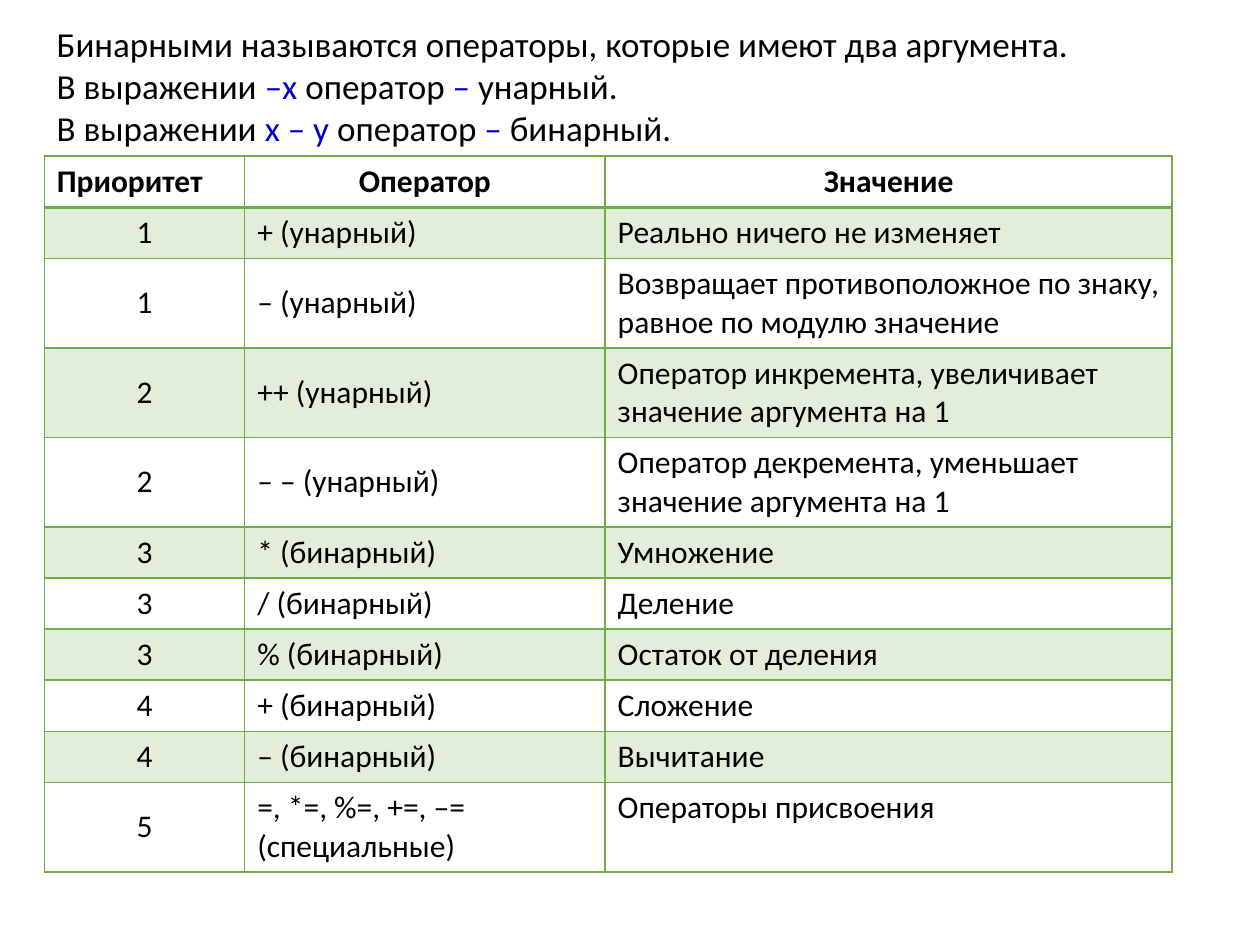
"""Build a slide that explains operator priority."""
from dataclasses import dataclass

from lxml.etree import SubElement
from pptx import Presentation
from pptx.dml.color import RGBColor
from pptx.enum.text import MSO_ANCHOR, MSO_AUTO_SIZE, PP_ALIGN
from pptx.oxml import parse_xml
from pptx.oxml.ns import nsdecls, qn
from pptx.util import Pt

BLACK, BLUE, GREEN = "000000", "0000CC", "70AD47"
LEFT, TOP = 25.3, 89.2
WIDTHS = (114.5, 206, 324)
ROW_H = 29.2


@dataclass
class Row:
    """One table row."""
    rank: str
    sign: str
    sense: str


@dataclass
class Bit:
    """A run of text in one colour."""
    text: str
    color: str = BLACK


HEAD = Row("Приоритет", "Оператор", "Значение")
ROWS = [
    Row("1", "+ (унарный)", "Реально ничего не изменяет"),
    Row("1", "– (унарный)",
        "Возвращает противоположное по знаку, равное по модулю значение"),
    Row("2", "++ (унарный)",
        "Оператор инкремента, увеличивает значение аргумента на 1"),
    Row("2", "– – (унарный)",
        "Оператор декремента, уменьшает значение аргумента на 1"),
    Row("3", "* (бинарный)", "Умножение"),
    Row("3", "/ (бинарный)", "Деление"),
    Row("3", "% (бинарный)", "Остаток от деления"),
    Row("4", "+ (бинарный)", "Сложение"),
    Row("4", "– (бинарный)", "Вычитание"),
    Row("5", "=, *=, %=, +=, –= (специальные)", "Операторы присвоения"),
]
INTRO = [
    [Bit("Бинарными называются операторы, которые имеют два аргумента.")],
    [Bit("В выражении "), Bit("–x", BLUE), Bit(" оператор "),
     Bit("–", BLUE), Bit(" унарный.")],
    [Bit("В выражении "), Bit("x – y ", BLUE), Bit("оператор "),
     Bit("– ", BLUE), Bit("бинарный.")],
]


def tint(code: str) -> RGBColor:
    """Turn a hex string into a colour."""
    return RGBColor.from_string(code)


def add_run(para, bit: Bit, size: float, bold: bool = False) -> None:
    """Add one styled run to a paragraph."""
    run = para.add_run()
    run.text = bit.text
    font = run.font
    font.name, font.size, font.bold = "Calibri", Pt(size), bold
    font.color.rgb = tint(bit.color)


def add_lines(cell, row: int) -> None:
    """Draw the four borders, thicker below the header."""
    props = cell._tc.get_or_add_tcPr()
    thick = {(0, "B"), (1, "T")}
    for spot, side in enumerate("LRTB"):
        width = Pt(2 if (row, side) in thick else 1)
        props.insert(spot, parse_xml(
            f'<a:ln{side} {nsdecls("a")} w="{width}"><a:solidFill>'
            f'<a:srgbClr val="{GREEN}"/></a:solidFill></a:ln{side}>'))


def fill_cell(cell, text: str, row: int, col: int) -> None:
    """Write, align, shade and frame one cell."""
    para = cell.text_frame.paragraphs[0]
    add_run(para, Bit(text), 18, bold=row == 0)
    if (row == 0) != (col == 0) and (row == 0 or col == 0):
        para.alignment = PP_ALIGN.CENTER
    if row and col < 2:
        cell.vertical_anchor = MSO_ANCHOR.MIDDLE
    if row % 2:
        cell.fill.solid()
        cell.fill.fore_color.rgb = tint(GREEN)
        shade = cell._tc.tcPr.find(f'{qn("a:solidFill")}/{qn("a:srgbClr")}')
        SubElement(shade, qn("a:alpha"), val="20000")
    else:
        cell.fill.background()
    add_lines(cell, row)


def add_grid(slide, rows: list[Row]) -> None:
    """Add the table of operators."""
    grid = slide.shapes.add_table(
        len(rows), len(WIDTHS), Pt(LEFT), Pt(TOP),
        Pt(sum(WIDTHS)), Pt(ROW_H * len(rows))).table
    grid.horz_banding = False
    for col, width in zip(grid.columns, WIDTHS):
        col.width = Pt(width)
    for i, row in enumerate(rows):
        grid.rows[i].height = Pt(ROW_H)
        for j, text in enumerate((row.rank, row.sign, row.sense)):
            fill_cell(grid.cell(i, j), text, i, j)


def add_intro(slide, lines: list[list[Bit]]) -> None:
    """Add the text above the table."""
    box = slide.shapes.add_textbox(Pt(LEFT), Pt(9.4), Pt(661), Pt(79.9))
    frame = box.text_frame
    frame.word_wrap = True
    frame.auto_size = MSO_AUTO_SIZE.SHAPE_TO_FIT_TEXT
    for i, line in enumerate(lines):
        para = frame.add_paragraph() if i else frame.paragraphs[0]
        para.alignment = PP_ALIGN.JUSTIFY
        for bit in line:
            add_run(para, bit, 20)


def main() -> None:
    """Build and save the slide."""
    deck = Presentation()
    deck.slide_width, deck.slide_height = Pt(720), Pt(540)
    slide = deck.slides.add_slide(deck.slide_layouts[6])
    add_grid(slide, [HEAD, *ROWS])
    add_intro(slide, INTRO)
    deck.save("out.pptx")


if __name__ == "__main__":
    main()
